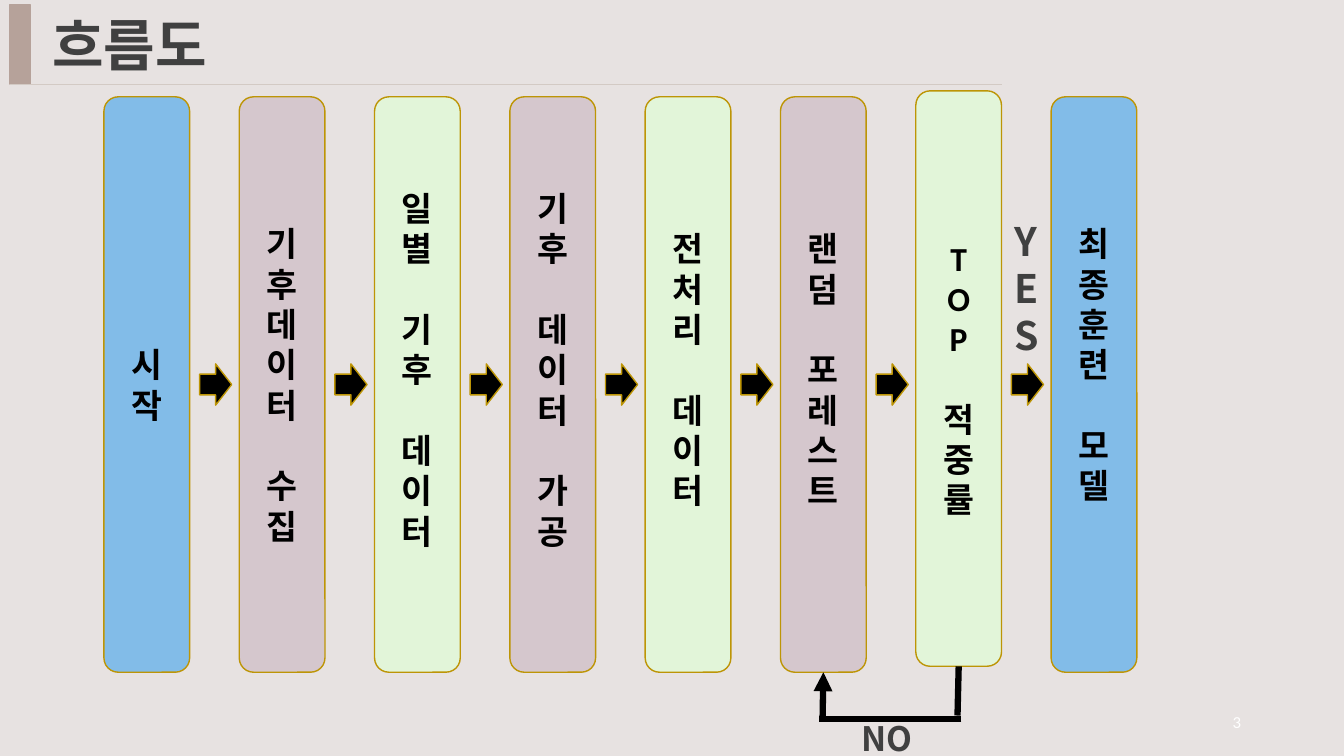
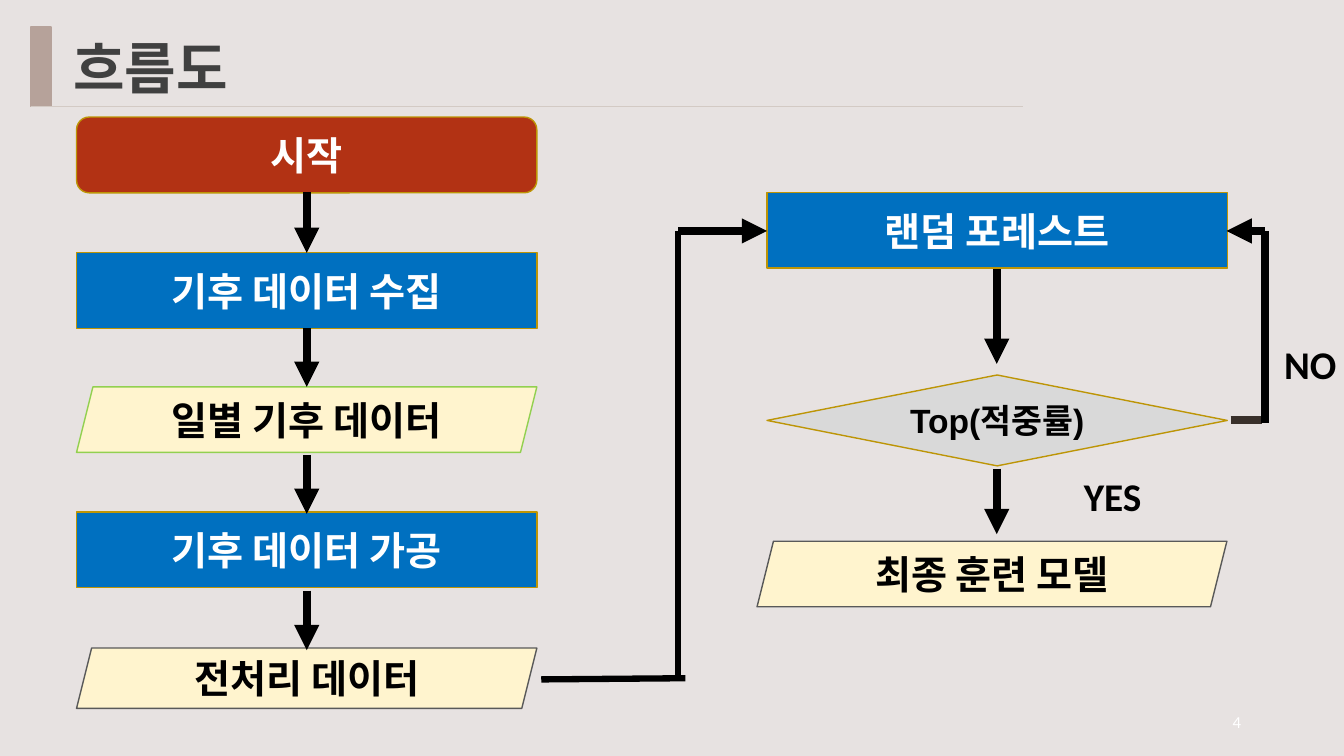
from dataclasses import dataclass
from typing import Optional

from lxml import etree
from pptx import Presentation
from pptx.dml.color import RGBColor
from pptx.enum.shapes import MSO_CONNECTOR, MSO_SHAPE
from pptx.enum.text import MSO_ANCHOR, PP_ALIGN
from pptx.oxml.ns import qn
from pptx.util import Cm, Pt

ROUNDED = MSO_SHAPE.ROUNDED_RECTANGLE
RECT = MSO_SHAPE.RECTANGLE
DATA = MSO_SHAPE.PARALLELOGRAM
DECISION = MSO_SHAPE.DIAMOND
BLOCK_ARROW = MSO_SHAPE.RIGHT_ARROW
STRAIGHT = MSO_CONNECTOR.STRAIGHT
LEFT, CENTER = PP_ALIGN.LEFT, PP_ALIGN.CENTER
MIDDLE = MSO_ANCHOR.MIDDLE


@dataclass(frozen=True)
class Theme:
    background: str = "E7E2E1"
    accent: str = "B6A29A"
    rule: str = "D3CAC4"
    heading: str = "404040"
    border: str = "BD9506"
    black: str = "000000"
    white: str = "FFFFFF"
    sky: str = "82BCE8"
    mauve: str = "D5C7CD"
    mint: str = "E2F5D9"
    red: str = "B23214"
    blue: str = "0070C0"
    cream: str = "FFF4CE"
    silver: str = "D9D9D9"
    green: str = "92D050"
    gray: str = "595959"
    brown: str = "39302A"
    body_font: str = "Calibri"
    korean_font: str = "Noto Sans CJK KR"
    decision_font: str = "Arial"
    title_size: float = 40
    step_size: float = 28
    stage_size: float = 24
    page_size: float = 12
    line_factor: float = 1.2


THEME = Theme()


@dataclass(frozen=True)
class Box:
    left: float
    top: float
    width: float
    height: float

    def lengths(self) -> tuple:
        return Cm(self.left), Cm(self.top), Cm(self.width), Cm(self.height)


@dataclass(frozen=True)
class Style:
    size: float
    color: str
    font: str = THEME.body_font
    bold: bool = True
    align: PP_ALIGN = CENTER


@dataclass(frozen=True)
class Stage:
    words: str
    fill: str
    lift: float = 0  # points of extra space below the letters
    top: float = 2.44


@dataclass(frozen=True)
class Step:
    words: str
    kind: MSO_SHAPE
    box: Box
    fill: str
    border: str = THEME.border
    color: str = THEME.black
    size: float = THEME.step_size
    font: str = THEME.body_font


@dataclass(frozen=True)
class Link:
    x1: float
    y1: float
    x2: float
    y2: float
    weight: float = 6
    arrow: bool = False
    color: str = THEME.black


# Shared drawing functions
def rgb(value: str) -> RGBColor:
    return RGBColor.from_string(value)


def format_paragraph(paragraph, style: Style) -> None:
    paragraph.alignment = style.align
    for run in paragraph.runs:
        run.font.size = Pt(style.size)
        run.font.bold = style.bold
        run.font.name = style.font
        run.font.color.rgb = rgb(style.color)
        east_asian = etree.SubElement(run.font._element, qn("a:ea"))
        east_asian.set("typeface", THEME.korean_font)


def stack_letters(frame, words: str, style: Style) -> None:
    """One letter a line, with one line of space between words."""
    pitch = Pt(style.size * THEME.line_factor)
    letters = [(letter, number > 0 and place == 0)
               for number, word in enumerate(words.split())
               for place, letter in enumerate(word)]
    frame.text = "\n".join(letter for letter, _ in letters)
    for paragraph, (_, starts_word) in zip(frame.paragraphs, letters):
        paragraph.line_spacing = pitch
        if starts_word:
            paragraph.space_before = pitch
        format_paragraph(paragraph, style)


def add_panel(slide, kind: MSO_SHAPE, box: Box, fill: str, border: str = THEME.border):
    panel = slide.shapes.add_shape(kind, *box.lengths())
    panel.shadow.inherit = False
    panel.fill.solid()
    panel.fill.fore_color.rgb = rgb(fill)
    panel.line.color.rgb = rgb(border)
    panel.line.width = Pt(1)
    panel.text_frame.vertical_anchor = MIDDLE
    return panel


def add_label(slide, words: str, box: Box, style: Style, inset: float = 0,
              stacked: bool = False) -> None:
    frame = slide.shapes.add_textbox(*box.lengths()).text_frame
    frame.word_wrap = True
    frame.vertical_anchor = MIDDLE
    frame.margin_left = Cm(inset)
    frame.margin_right = frame.margin_top = frame.margin_bottom = 0
    if stacked:
        stack_letters(frame, words, style)
    else:
        frame.text = words
        format_paragraph(frame.paragraphs[0], style)


def add_link(slide, link: Link) -> None:
    connector = slide.shapes.add_connector(
        STRAIGHT, Cm(link.x1), Cm(link.y1), Cm(link.x2), Cm(link.y2))
    connector.line.color.rgb = rgb(link.color)
    connector.line.width = Pt(link.weight)
    if link.arrow:
        tail = etree.SubElement(connector.line._get_or_add_ln(), qn("a:tailEnd"))
        tail.set("type", "triangle")
    etree.SubElement(connector._element.spPr, qn("a:effectLst"))


def add_heading(slide, left: float, top: float, page: str) -> None:
    add_panel(slide, RECT, Box(left, top, 0.51, 2), THEME.accent, THEME.accent)
    add_link(slide, Link(left, top + 2, left + 25, top + 2, 0.5, color=THEME.rule))
    add_label(slide, "흐름도", Box(left + 0.5, top, 24.5, 2),
              Style(THEME.title_size, THEME.heading, THEME.korean_font, align=LEFT),
              inset=0.57)
    add_label(slide, page, Box(30.67, 17.84, 1, 0.7),
              Style(THEME.page_size, THEME.white, bold=False))


# Slide 1: horizontal flow of upright stages
STAGES = [
    Stage("시작", THEME.sky),
    Stage("기후데이터 수집", THEME.mauve),
    Stage("일별 기후 데이터", THEME.mint, lift=21.6),
    Stage("기후 데이터 가공", THEME.mauve, lift=21.6),
    Stage("전처리 데이터", THEME.mint, lift=21.6),
    Stage("랜덤 포레스트", THEME.mauve, lift=21.6),
    Stage("TOP 적중률", THEME.mint, top=2.29),
    Stage("최종훈련 모델", THEME.sky, lift=28.8),
]
STAGE_LEFT, STAGE_PITCH = 2.62, 3.41
ARROW_LEFT = 5.03

RETRY_LOOP = [
    Link(24.16, 16.79, 24.13, 18.03, 4.5),
    Link(24.23, 18.11, 20.65, 18.11, 4.5),
    Link(20.73, 18.11, 20.75, 16.94, 4.5, arrow=True),
]


def build_stage_flow(slide) -> None:
    letter_style = Style(THEME.stage_size, THEME.black)
    for index, stage in enumerate(STAGES):
        box = Box(STAGE_LEFT + index * STAGE_PITCH, stage.top, 2.16, 14.5)
        frame = add_panel(slide, ROUNDED, box, stage.fill).text_frame
        frame.margin_bottom = Pt(3.6 + stage.lift)
        stack_letters(frame, stage.words, letter_style)
    for index in range(len(STAGES) - 1):
        box = Box(ARROW_LEFT + index * STAGE_PITCH, 9.17, 0.81, 1.04)
        add_panel(slide, BLOCK_ARROW, box, THEME.black)

    # Outcomes of the hit-rate check
    add_label(slide, "YES", Box(25.32, 5.45, 1.2, 3.6),
              Style(THEME.step_size, THEME.heading, THEME.korean_font, align=LEFT),
              inset=0.25, stacked=True)
    for link in RETRY_LOOP:
        add_link(slide, link)
    add_label(slide, "NO", Box(21.46, 18.15, 2.9, 0.9),
              Style(THEME.stage_size, THEME.heading, THEME.korean_font, align=LEFT),
              inset=0.25)
    add_heading(slide, 0.25, 0.12, "3")


# Slide 2: two-column flowchart
COLUMN_1, COLUMN_2, STEP_WIDTH = 1.93, 19.33, 11.6
AXIS_1, AXIS_2 = 7.73, 25.12

STEPS = [
    Step("시작", ROUNDED, Box(COLUMN_1, 2.95, STEP_WIDTH, 1.91), THEME.red,
         color=THEME.white),
    Step("기후 데이터 수집", RECT, Box(COLUMN_1, 6.37, STEP_WIDTH, 1.91), THEME.blue,
         color=THEME.white),
    Step("일별 기후 데이터", DATA, Box(COLUMN_1, 9.75, STEP_WIDTH, 1.65), THEME.cream,
         THEME.green),
    Step("기후 데이터 가공", RECT, Box(COLUMN_1, 12.9, STEP_WIDTH, 1.91), THEME.blue,
         color=THEME.white),
    Step("전처리 데이터", DATA, Box(COLUMN_1, 16.33, STEP_WIDTH, 1.52), THEME.cream,
         THEME.gray),
    Step("랜덤 포레스트", RECT, Box(COLUMN_2, 4.85, STEP_WIDTH, 1.91), THEME.blue,
         color=THEME.white),
    Step("Top(적중률)", DECISION, Box(COLUMN_2, 9.45, STEP_WIDTH, 2.29), THEME.silver,
         size=THEME.stage_size, font=THEME.decision_font),
    Step("최종 훈련 모델", DATA, Box(19.08, 13.64, 11.84, 1.65), THEME.cream,
         THEME.gray),
]

DOWNWARD = [(AXIS_1, 4.85, 6.37), (AXIS_1, 8.27, 9.75), (AXIS_1, 11.46, 12.95),
            (AXIS_1, 14.88, 16.38), (AXIS_2, 6.78, 9.17), (AXIS_2, 11.81, 13.46)]

ROUTES = [
    # From the prepared data to the model
    Link(13.64, 17.12, 17.27, 17.09, 4.5),
    Link(17.09, 17.04, 17.09, 5.82, 4.5),
    Link(17.09, 5.82, 19.33, 5.82, arrow=True),
    # Retry
    Link(31.01, 10.59, 31.8, 10.59, color=THEME.brown),
    Link(31.88, 5.82, 31.88, 10.67),
    Link(31.88, 5.82, 30.91, 5.82, arrow=True),
]


def build_flowchart(slide) -> None:
    for step in STEPS:
        frame = add_panel(slide, step.kind, step.box, step.fill, step.border).text_frame
        frame.text = step.words
        format_paragraph(frame.paragraphs[0], Style(step.size, step.color, step.font))
    for axis, start, end in DOWNWARD:
        add_link(slide, Link(axis, start, axis, end, arrow=True))
    for link in ROUTES:
        add_link(slide, link)
    answer_style = Style(THEME.step_size, THEME.black)
    add_label(slide, "YES", Box(26.59, 11.99, 2.9, 1), answer_style)
    add_label(slide, "NO", Box(32.19, 8.56, 1.66, 1.2), answer_style)
    add_heading(slide, 0.78, 0.68, "4")


def main() -> None:
    deck = Presentation()
    deck.slide_width, deck.slide_height = Cm(33.87), Cm(19.05)
    backdrop = deck.slide_master.background.fill
    backdrop.solid()
    backdrop.fore_color.rgb = rgb(THEME.background)
    blank = deck.slide_layouts[6]
    for build in (build_stage_flow, build_flowchart):
        build(deck.slides.add_slide(blank))
    deck.save("out.pptx")


if __name__ == "__main__":
    main()
